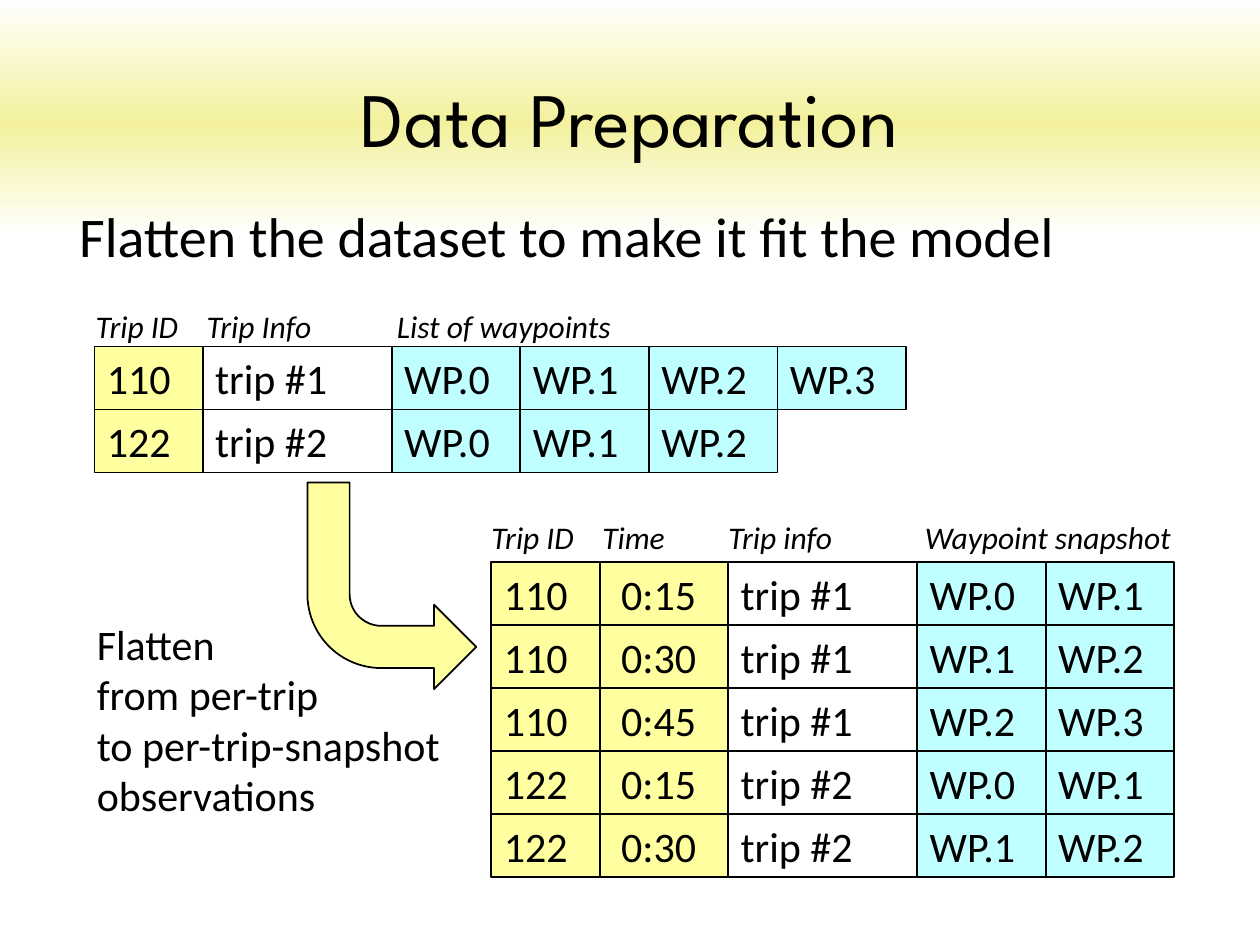
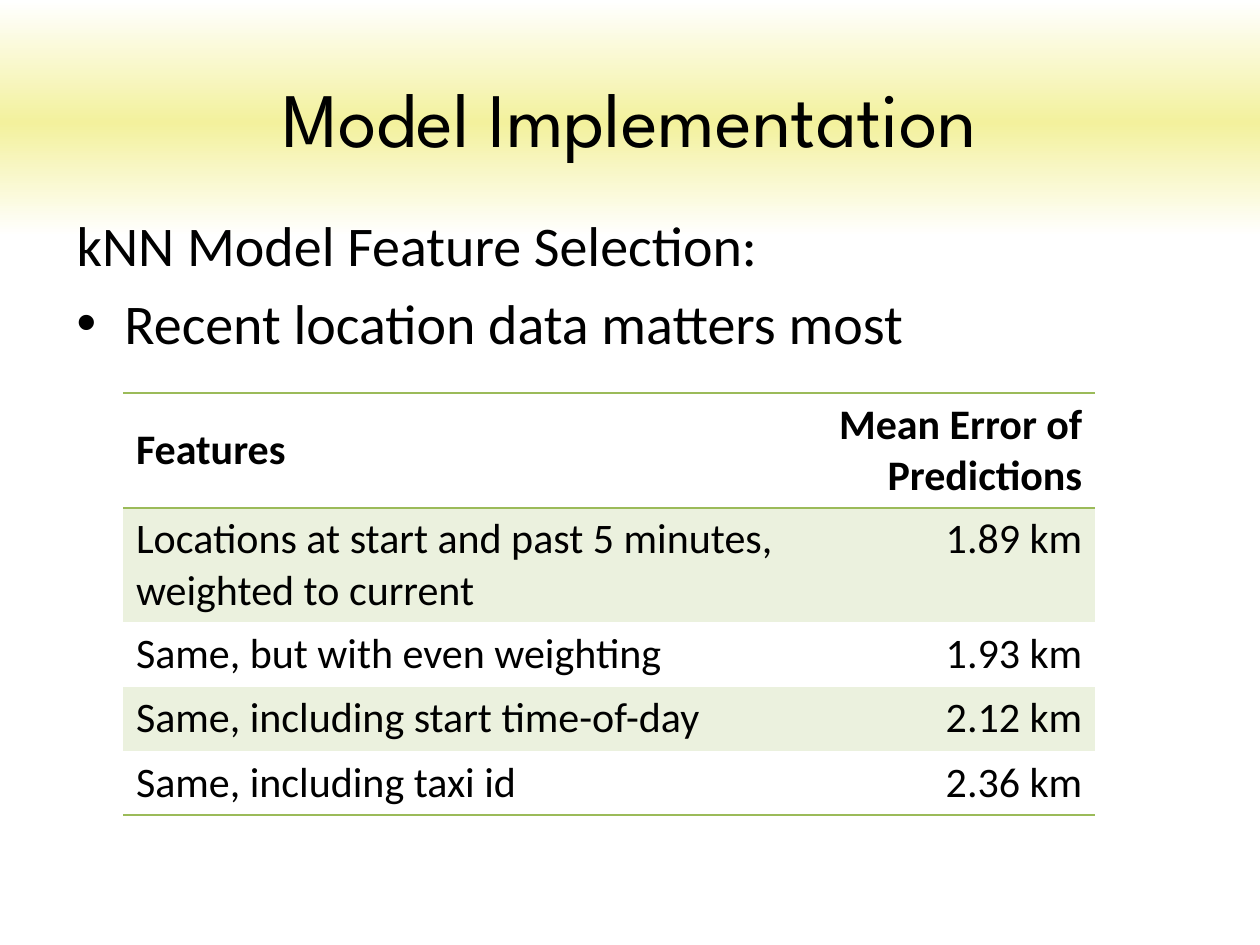
from collections import namedtuple

from lxml import etree
from pptx import Presentation
from pptx.dml.color import RGBColor
from pptx.enum import shapes, text
from pptx.oxml import ns
from pptx.util import Inches, Pt

BLACK = RGBColor(0x00, 0x00, 0x00)
WHITE = RGBColor(0xFF, 0xFF, 0xFF)
BAND_YELLOW = RGBColor(0xF3, 0xF1, 0x9D)
KEY_YELLOW = RGBColor(0xFF, 0xFF, 0xA0)
WAYPOINT_CYAN = RGBColor(0xC0, 0xFF, 0xFF)
RULE_GREEN = RGBColor(0x9B, 0xBB, 0x59)
ROW_GREEN = RGBColor(0xEB, 0xF1, 0xDE)

TITLE_FONT = "League Spartan"
BODY_FONT = "Calibri"
BACKGROUND_STOPS = [(0, WHITE), (13, BAND_YELLOW), (25, WHITE)]
PLAIN_TABLE_STYLE = "{2D5ABB26-0587-4C30-8999-92F81FD0307C}"
ROW_PITCH = 0.5

Column = namedtuple("Column", "width fill inset")
TRIP_ID = Column(0.86, KEY_YELLOW, 0.1)
TIME = Column(1.02, KEY_YELLOW, 0.17)
TRIP_INFO = Column(1.5, None, 0.1)
WAYPOINT = Column(1.02, WAYPOINT_CYAN, 0.1)


def add_child(parent, tag, **attributes):
    child = etree.SubElement(parent, ns.qn(tag))
    for name, value in attributes.items():
        child.set(name, str(value))
    return child


class Deck:
    def __init__(self):
        self.presentation = Presentation()
        self.presentation.slide_width = Inches(10)
        self.presentation.slide_height = Inches(7.5)
        self.slide = None

    def add_slide(self, title):
        self.slide = self.presentation.slides.add_slide(self.presentation.slide_layouts[6])
        self.paint_background()
        frame = self.add_text_box(0.5, 0.3, 9, 1.25)
        frame.vertical_anchor = text.MSO_ANCHOR.MIDDLE
        paragraph = frame.paragraphs[0]
        paragraph.alignment = text.PP_ALIGN.CENTER
        self.add_text(paragraph, title, 44, font=TITLE_FONT)

    def paint_background(self):
        self.slide.background.fill.gradient()
        gradient = next(self.slide.background._cSld.iter(ns.qn("a:gradFill")))
        for child in list(gradient):
            gradient.remove(child)
        stops = add_child(gradient, "a:gsLst")
        for percent, color in BACKGROUND_STOPS:
            stop = add_child(stops, "a:gs", pos=percent * 1000)
            add_child(stop, "a:srgbClr", val=color)
        add_child(gradient, "a:lin", ang=90 * 60000, scaled=0)

    def add_text(self, paragraph, content, size, font=BODY_FONT, bold=False, italic=False):
        for index, line in enumerate(content.split("\n")):
            if index:
                paragraph.add_line_break()
            run = paragraph.add_run()
            run.text = line
            run.font.name = font
            run.font.size = Pt(size)
            run.font.bold = bold
            run.font.italic = italic
            run.font.color.rgb = BLACK

    def add_text_box(self, left, top, width, height):
        box = self.slide.shapes.add_textbox(
            Inches(left), Inches(top), Inches(width), Inches(height))
        box.text_frame.word_wrap = True
        return box.text_frame

    def add_body(self, left, top, height, heading, bullets=()):
        frame = self.add_text_box(left, top, 9, height)
        self.add_text(frame.paragraphs[0], heading, 32)
        for bullet in bullets:
            paragraph = frame.add_paragraph()
            properties = paragraph._p.get_or_add_pPr()
            properties.set("marL", str(Inches(0.38)))
            properties.set("indent", str(-Inches(0.38)))
            add_child(properties, "a:buFont", typeface="Arial")
            add_child(properties, "a:buChar", char="•")
            paragraph.space_before = Pt(6.4)
            self.add_text(paragraph, bullet, 32)

    def add_column_labels(self, left, top, width, labels, stops):
        frame = self.add_text_box(left, top, width, 0.43)
        frame.margin_left = Inches(0.16)
        paragraph = frame.paragraphs[0]
        tabs = add_child(paragraph._p.get_or_add_pPr(), "a:tabLst")
        for stop in stops:
            add_child(tabs, "a:tab", pos=Inches(stop), algn="l")
        self.add_text(paragraph, "\t".join(labels), 18, italic=True)

    def add_shape(self, kind, left, top, width, height, fill):
        shape = self.slide.shapes.add_shape(
            kind, Inches(left), Inches(top), Inches(width), Inches(height))
        shape.shadow.inherit = False
        if fill is None:
            shape.fill.background()
        else:
            shape.fill.solid()
            shape.fill.fore_color.rgb = fill
        shape.line.color.rgb = BLACK
        shape.line.width = Pt(1)
        return shape

    def add_cell_grid(self, left, top, columns, rows):
        for row_index, row in enumerate(rows):
            cell_left = left
            cell_top = top + row_index * ROW_PITCH
            for column, value in zip(columns, row):
                cell = self.add_shape(shapes.MSO_SHAPE.RECTANGLE, cell_left, cell_top,
                                      column.width, ROW_PITCH, column.fill)
                frame = cell.text_frame
                frame.word_wrap = True
                frame.auto_size = text.MSO_AUTO_SIZE.SHAPE_TO_FIT_TEXT
                frame.vertical_anchor = text.MSO_ANCHOR.TOP
                frame.margin_left = Inches(column.inset)
                frame.paragraphs[0].alignment = text.PP_ALIGN.LEFT
                self.add_text(frame.paragraphs[0], value, 24)
                cell_left += column.width

    def add_bent_arrow(self, left, top, width, height):
        arrow = self.add_shape(shapes.MSO_SHAPE.BENT_ARROW, left, top, width, height, KEY_YELLOW)
        arrow._element.spPr.find(ns.qn("a:xfrm")).set("flipV", "1")

    def add_cell_rule(self, cell, tag):
        rule = etree.Element(ns.qn(tag), w=str(Pt(1)))
        add_child(add_child(rule, "a:solidFill"), "a:srgbClr", val=RULE_GREEN)
        cell._tc.get_or_add_tcPr().insert(0, rule)

    def add_ruled_table(self, left, top, widths, heights, rows):
        table = self.slide.shapes.add_table(
            len(rows), len(widths), Inches(left), Inches(top),
            Inches(sum(widths)), Inches(sum(heights))).table
        table._tbl.tblPr.find(ns.qn("a:tableStyleId")).text = PLAIN_TABLE_STYLE
        table.horz_banding = False
        for column, width in zip(table.columns, widths):
            column.width = Inches(width)
        for row_index, values in enumerate(rows):
            table.rows[row_index].height = Inches(heights[row_index])
            header = row_index == 0
            for column_index, value in enumerate(values):
                cell = table.cell(row_index, column_index)
                if row_index % 2:
                    cell.fill.solid()
                    cell.fill.fore_color.rgb = ROW_GREEN
                else:
                    cell.fill.background()
                if header or row_index == len(rows) - 1:
                    self.add_cell_rule(cell, "a:lnB")
                if header:
                    self.add_cell_rule(cell, "a:lnT")
                    cell.vertical_anchor = text.MSO_ANCHOR.MIDDLE
                paragraph = cell.text_frame.paragraphs[0]
                if column_index:
                    paragraph.alignment = text.PP_ALIGN.RIGHT
                self.add_text(paragraph, value, 24, bold=header)


def build_data_preparation(deck):
    deck.add_slide("Data Preparation")
    deck.add_body(0.53, 1.55, 0.66, "Flatten the dataset to make it fit the model")
    deck.add_cell_grid(0.75, 2.75, [TRIP_ID, TRIP_INFO] + [WAYPOINT] * 4, [
        ["110", "trip #1", "WP.0", "WP.1", "WP.2", "WP.3"],
        ["122", "trip #2", "WP.0", "WP.1", "WP.2"],
    ])
    deck.add_cell_grid(3.9, 4.46, [TRIP_ID, TIME, TRIP_INFO, WAYPOINT, WAYPOINT], [
        ["110", "0:15", "trip #1", "WP.0", "WP.1"],
        ["110", "0:30", "trip #1", "WP.1", "WP.2"],
        ["110", "0:45", "trip #1", "WP.2", "WP.3"],
        ["122", "0:15", "trip #2", "WP.0", "WP.1"],
        ["122", "0:30", "trip #2", "WP.1", "WP.2"],
    ])
    deck.add_column_labels(0.6, 2.39, 6.59,
                           ["Trip ID", "Trip Info", "List of waypoints"], [0.88, 2.39])
    deck.add_column_labels(3.74, 4.06, 5.98,
                           ["Trip ID", "Time", "Trip info", "Waypoint snapshot"],
                           [0.88, 1.88, 3.44])
    caption = deck.add_text_box(0.67, 4.86, 3.19, 1.72)
    deck.add_text(caption.paragraphs[0],
                  "Flatten\nfrom per-trip\nto per-trip-snapshot\nobservations", 24)
    deck.add_bent_arrow(2.44, 3.83, 1.34, 1.64)


def build_model_implementation(deck):
    deck.add_slide("Model Implementation")
    deck.add_body(0.51, 1.62, 1.53, "kNN Model Feature Selection:",
                  ["Recent location data matters most"])
    deck.add_ruled_table(0.98, 3.12, [5.51, 2.2], [0.91, 0.91, 0.51, 0.51, 0.51], [
        ["Features", "Mean Error of Predictions"],
        ["Locations at start and past 5 minutes, weighted to current", "1.89 km"],
        ["Same, but with even weighting", "1.93 km"],
        ["Same, including start time-of-day", "2.12 km"],
        ["Same, including taxi id", "2.36 km"],
    ])


def main():
    deck = Deck()
    build_data_preparation(deck)
    build_model_implementation(deck)
    deck.presentation.save("out.pptx")


if __name__ == "__main__":
    main()
